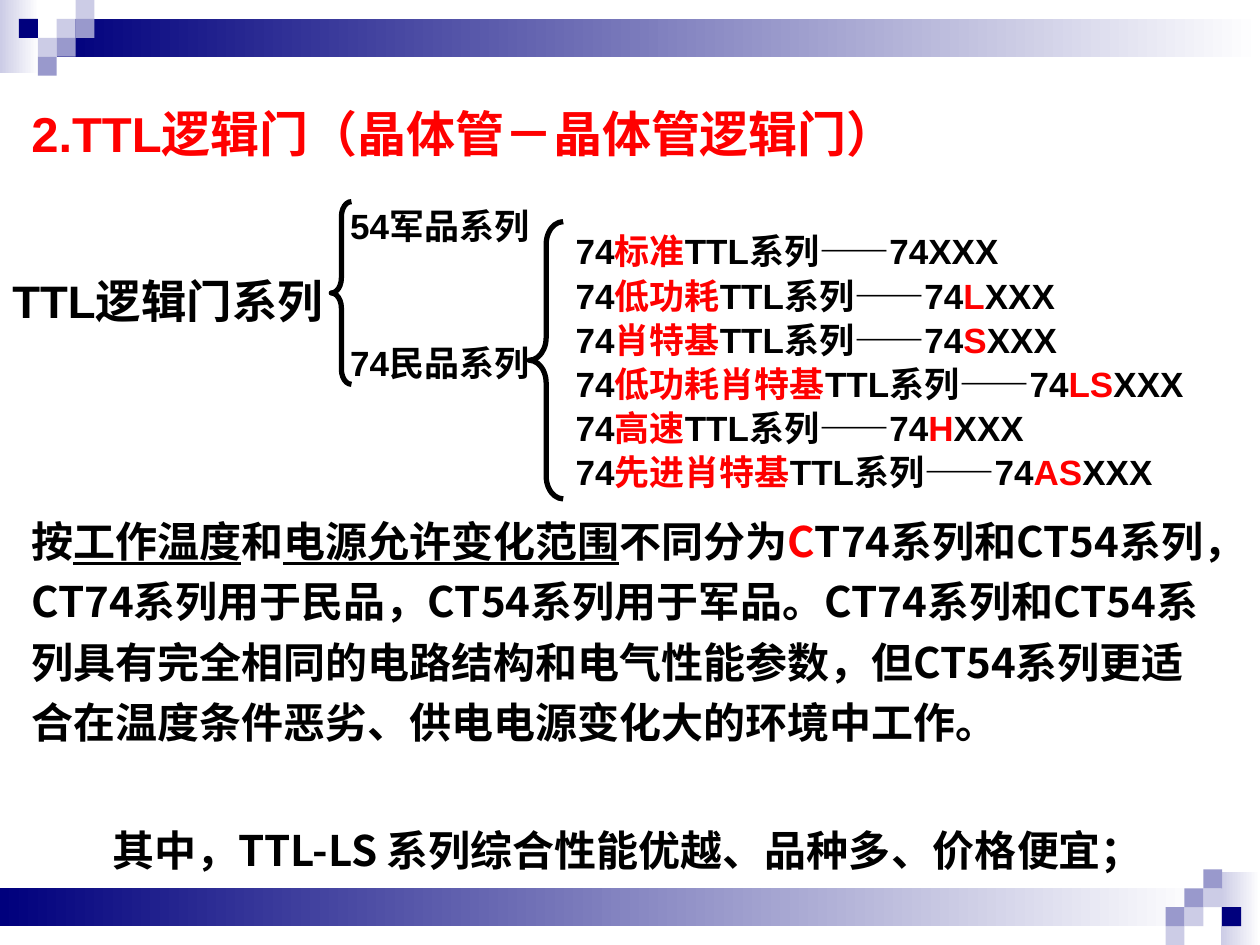
from lxml.etree import SubElement
from pptx import Presentation
from pptx.dml.color import RGBColor
from pptx.enum.shapes import MSO_SHAPE
from pptx.enum.text import MSO_AUTO_SIZE
from pptx.oxml.ns import qn
from pptx.util import Inches, Pt

NAVY, LAVENDER, VIOLET, WHITE = "00007D", "CCCCE6", "9999CC", "FFFFFF"
BLACK, RED = "000000", "FF0000"
SANS, CJK = "Arial", "Noto Sans CJK SC"
WIDTH, HEIGHT, TILE = 10, 7.5, 0.15


def color(value):
    return RGBColor.from_string(value)


def add_text(place, paragraphs, size, font=SANS, before=0, spacing=1.0,
             wrap=True, margins=(0.1, 0.05)):
    box = slide.shapes.add_textbox(*map(Inches, place))
    frame = box.text_frame
    frame.word_wrap = wrap
    frame.auto_size = MSO_AUTO_SIZE.NONE
    frame.margin_left = frame.margin_right = Inches(margins[0])
    frame.margin_top = frame.margin_bottom = Inches(margins[1])
    for index, pieces in enumerate(paragraphs):
        paragraph = frame.add_paragraph() if index else frame.paragraphs[0]
        paragraph.space_before = Pt(before)
        paragraph.line_spacing = spacing
        for text, fill, underline in pieces:
            run = paragraph.add_run()
            run.text = text
            run.font.name = font
            run.font.size = Pt(size)
            run.font.bold = True
            run.font.color.rgb = color(fill)
            if underline:
                run.font.underline = True
            SubElement(run._r.get_or_add_rPr(), qn("a:ea")).set("typeface", CJK)
    return box


presentation = Presentation()
presentation.slide_width = Inches(WIDTH)
presentation.slide_height = Inches(HEIGHT)
slide = presentation.slides.add_slide(presentation.slide_layouts[6])

corner = [
    (0, 0, 0.31, 0.58, (LAVENDER, WHITE)),
    (0.45, 0.15, 9.55, 0.3, (NAVY, WHITE)),
]
tiles = [
    (3, 1, LAVENDER), (4, 0, LAVENDER), (4, 1, VIOLET), (2, 2, LAVENDER),
    (1, 1, NAVY), (3, 2, VIOLET), (2, 3, VIOLET),
]
for column, row, fill in tiles:
    corner.append((column * TILE, row * TILE, TILE, TILE, (fill,)))

for mirrored in (False, True):
    for left, top, width, height, fills in corner:
        if mirrored:
            left, top = WIDTH - left - width, HEIGHT - top - height
        shape = slide.shapes.add_shape(
            MSO_SHAPE.RECTANGLE, Inches(left), Inches(top), Inches(width), Inches(height))
        shape.shadow.inherit = False
        shape.line.fill.background()
        if len(fills) == 1:
            shape.fill.solid()
            shape.fill.fore_color.rgb = color(fills[0])
        else:
            shape.fill.gradient()
            shape.fill.gradient_angle = 0
            for stop, fill in zip(shape.fill.gradient_stops, fills):
                stop.color.rgb = color(fill)

body = [
    ("按", BLACK, False),
    ("工作温度", BLACK, True),
    ("和", BLACK, False),
    ("电源允许变化范围", BLACK, True),
    ("不同分为", BLACK, False),
    ("C", RED, False),
    ("T74系列和CT54系列，CT74系列用于民品，CT54系列用于军品。"
     "CT74系列和CT54系列具有完全相同的电路结构和电气性能参数，"
     "但CT54系列更适合在温度条件恶劣、供电电源变化大的环境中工作。", BLACK, False),
]
add_text((0.15, 3.96, 9.67, 2.5), [body], 24, CJK, before=15, spacing=1.2)

add_text((0, 2.12, 3.49, 0.52), [[("TTL逻辑门系列", BLACK, False)]], 26, before=13)

grades = [[(text, BLACK, False)] for text in ("54军品系列", "74民品系列")]
add_text((2.68, 1.47, 1.69, 1.63), grades, 20, before=47.5, spacing=1.3, wrap=False)

for left, top, width, height, curve in [
    (2.63, 1.6, 0.16, 1.45, 0.75),
    (4.2, 1.76, 0.27, 2.2, 0.67),
]:
    brace = slide.shapes.add_shape(
        MSO_SHAPE.LEFT_BRACE, Inches(left), Inches(top), Inches(width), Inches(height))
    brace.shadow.inherit = False
    brace.adjustments[0] = curve
    brace.fill.background()
    brace.line.color.rgb = color(BLACK)
    brace.line.width = Pt(3)

families = []
for kind, code in [
    ("标准", ""), ("低功耗", "L"), ("肖特基", "S"),
    ("低功耗肖特基", "LS"), ("高速", "H"), ("先进肖特基", "AS"),
]:
    pieces = [("74", BLACK, False), (kind, RED, False)]
    if code:
        pieces += [("TTL系列——74", BLACK, False), (code, RED, False), ("XXX", BLACK, False)]
    else:
        pieces.append(("TTL系列——74XXX", BLACK, False))
    families.append(pieces)
add_text((4.47, 1.76, 5.35, 2.2), families, 20, spacing=1.05)

title = [("2.TTL逻辑门（晶体管－晶体管逻辑门）", RED, False)]
add_text((0.15, 0.77, 8.38, 0.57), [title], 28, before=17.5)

closing = [("其中，TTL-LS 系列综合性能优越、品种多、价格便宜；", BLACK, False)]
closing_box = add_text((0.22, 6.54, 9.6, 0.4), [closing], 24, CJK, before=1.5, margins=(0, 0))
closing_box.text_frame.margin_left = Inches(0.67)

presentation.save("out.pptx")
